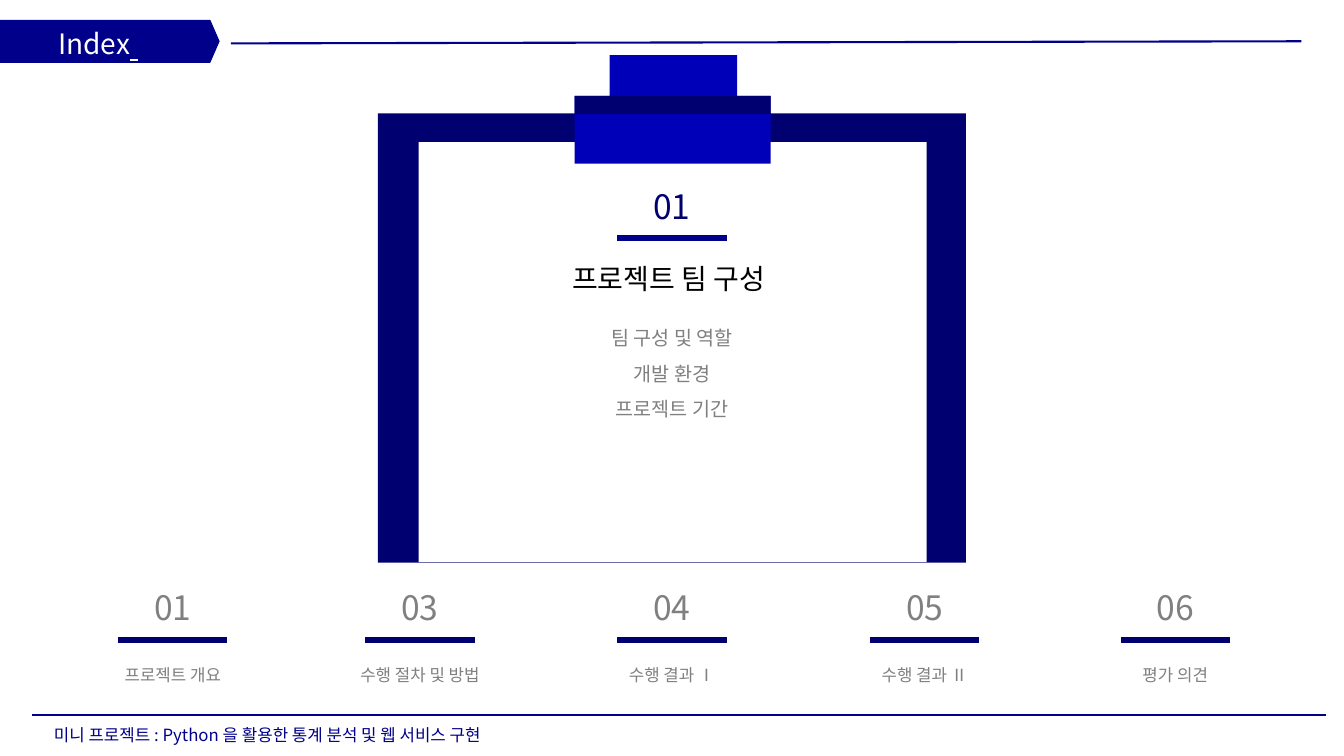
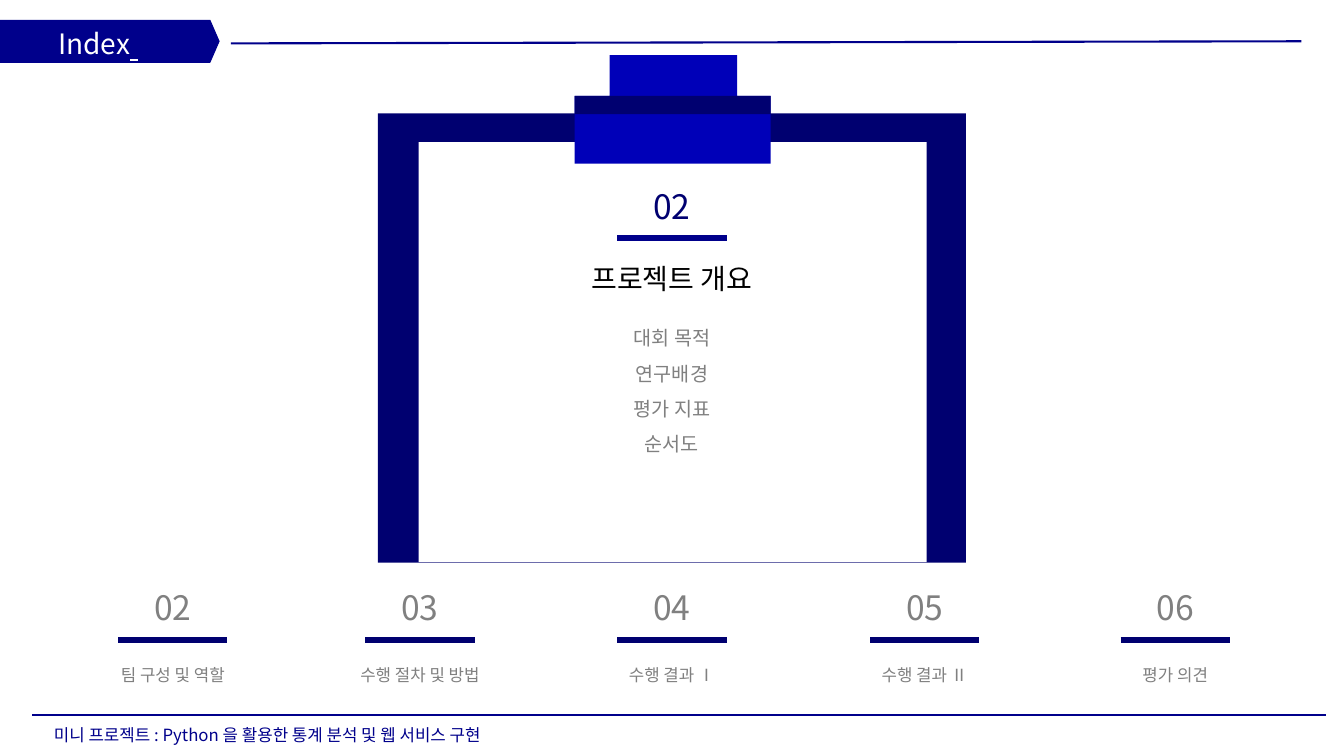
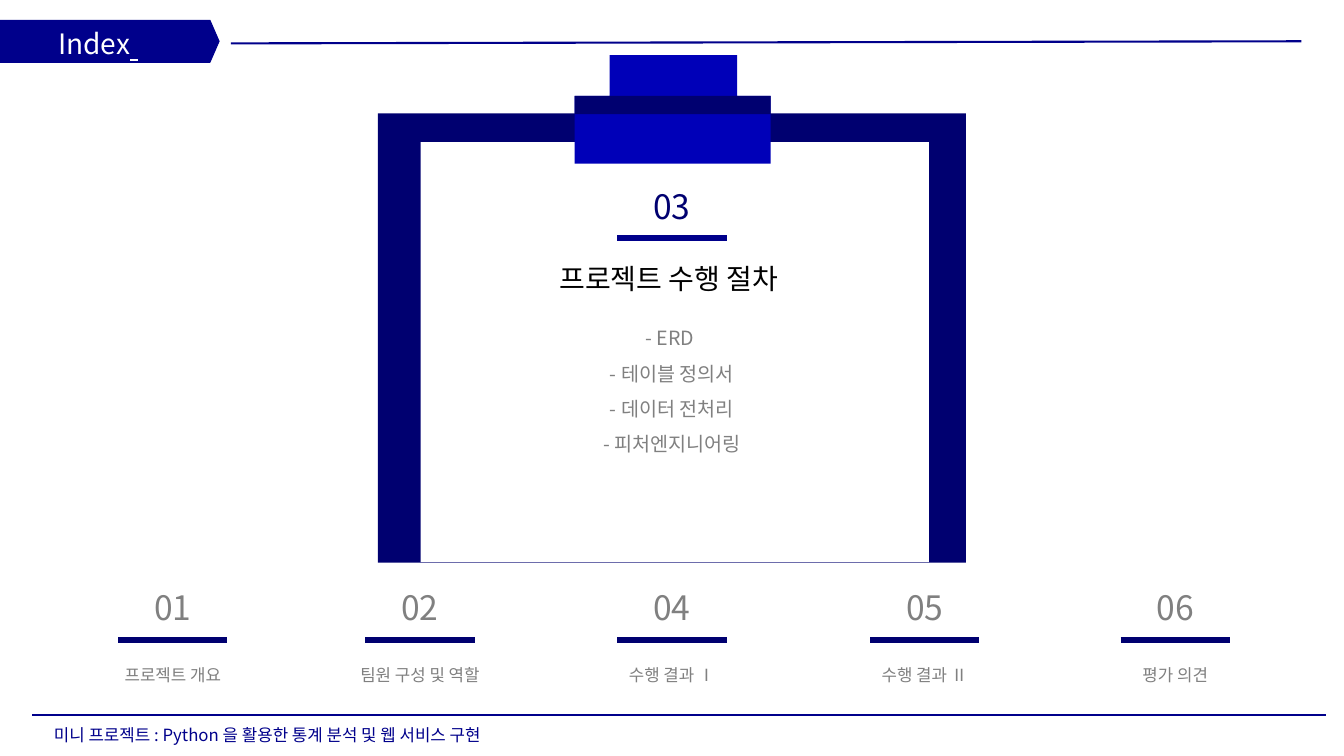
"""Build three index slides, each with a clipboard for its section and a row of the others."""
import dataclasses

import lxml.etree
import pptx
import pptx.dml.color
import pptx.enum.shapes
import pptx.enum.text
import pptx.oxml.ns
import pptx.util


@dataclasses.dataclass(frozen=True)
class Theme:
    """Hold the colours, type sizes and line widths that the slides share."""
    font: str = "Noto Sans CJK KR"
    blue: str = "00008B"
    navy: str = "000070"
    bright: str = "0000B8"
    grey: str = "808080"
    black: str = "000000"
    white: str = "FFFFFF"
    number: int = 24
    heading: int = 20
    body: int = 14
    small: int = 12
    bar: float = 4.5
    hairline: float = 1.5


THEME = Theme()
CENTER = 480
BAR_WIDTH = 78
SLOT_CENTERS = (123.5, 300, 480, 660.5, 839.5)
FOOTER = "미니 프로젝트 : Python 을 활용한 통계 분석 및 웹 서비스 구현"
OVERVIEW = ("01", "프로젝트 개요")
PROCEDURE = ("03", "수행 절차 및 방법")
LATER = [("04", "수행 결과 Ⅰ"), ("05", "수행 결과 Ⅱ"), ("06", "평가 의견")]
SLIDES = [
    dict(number="01", heading="프로젝트 팀 구성 ", paper_left=299,
         topics=["팀 구성 및 역할", "개발 환경", "프로젝트 기간"],
         others=[OVERVIEW, PROCEDURE, *LATER]),
    dict(number="02", heading="프로젝트 개요", paper_left=299,
         topics=["대회 목적", "연구배경", "평가 지표", "순서도"],
         others=[("02", "팀 구성 및 역할"), PROCEDURE, *LATER]),
    dict(number="03", heading="프로젝트 수행 절차 ", paper_left=300.5,
         topics=["- ERD ", "- 테이블 정의서", "- 데이터 전처리", "- 피처엔지니어링"],
         others=[OVERVIEW, ("02", "팀원 구성 및 역할"), *LATER]),
]


def rgb(color):
    """Turn a hex string into a colour."""
    return pptx.dml.color.RGBColor.from_string(color)


def place(sp, left, top, width, height):
    """Set the position and size of a shape in points."""
    sp.left, sp.top, sp.width, sp.height = map(pptx.util.Pt, (left, top, width, height))


def text_width(text, size):
    """Estimate the width of a box that holds one line of text."""
    ems = sum(0.25 if c == " " else 0.58 if c.isascii() else 1 for c in text)
    return round(ems * size + 14.4, 1)


def add_run(p, text, size, color, underline=None):
    """Add a formatted run to a paragraph."""
    r = p.add_run()
    r.text = text
    r.font.size = pptx.util.Pt(size)
    r.font.color.rgb = rgb(color)
    r.font.name = THEME.font
    r.font.underline = underline
    ea = lxml.etree.SubElement(r.font._element, pptx.oxml.ns.qn("a:ea"))
    ea.set("typeface", THEME.font)


def write(sp, *lines, size=THEME.small, color=THEME.grey, spacing=1.0, wrap=False):
    """Fill a shape with centred paragraphs, one for each line."""
    tf = sp.text_frame
    tf.word_wrap = wrap
    tf.auto_size = pptx.enum.text.MSO_AUTO_SIZE.SHAPE_TO_FIT_TEXT
    tf.vertical_anchor = pptx.enum.text.MSO_ANCHOR.TOP
    for i, line in enumerate(lines):
        p = tf.add_paragraph() if i else tf.paragraphs[0]
        p.alignment = pptx.enum.text.PP_ALIGN.CENTER
        p.line_spacing = spacing
        p.space_before = pptx.util.Pt(0)
        add_run(p, line, size, color)


def add_label(slide, text, center, top, size, color=THEME.grey):
    """Add one line of text centred on a point."""
    width = text_width(text, size)
    sp = slide.shapes.add_textbox(0, 0, 0, 0)
    place(sp, center - width / 2, top, width, size * 1.2 + 7.2)
    write(sp, text, size=size, color=color)


def add_line(slide, x1, y1, x2, y2, color=THEME.blue, width=THEME.hairline):
    """Add a straight line without a shadow."""
    line = slide.shapes.add_connector(pptx.enum.shapes.MSO_CONNECTOR.STRAIGHT,
                                      *map(pptx.util.Pt, (x1, y1, x2, y2)))
    line.line.color.rgb = rgb(color)
    line.line.width = pptx.util.Pt(width)
    lxml.etree.SubElement(line.element.spPr, pptx.oxml.ns.qn("a:effectLst"))


def add_bar(slide, center, y, color):
    """Add the thick rule under a number."""
    add_line(slide, center - BAR_WIDTH / 2, y, center + BAR_WIDTH / 2, y, color, THEME.bar)


def paint(sp, color):
    """Give a shape a flat fill with no line or shadow."""
    sp.shadow.inherit = False
    sp.fill.solid()
    sp.fill.fore_color.rgb = rgb(color)
    sp.line.fill.background()
    return sp


def add_rect(slide, left, top, width, height, color):
    """Add a flat rectangle."""
    sp = slide.shapes.add_shape(pptx.enum.shapes.MSO_SHAPE.RECTANGLE, 0, 0, 0, 0)
    place(sp, left, top, width, height)
    paint(sp, color)


def add_outline(slide, points, color):
    """Add a flat closed polygon."""
    start, *rest = [tuple(map(pptx.util.Pt, point)) for point in points]
    builder = slide.shapes.build_freeform(*start)
    builder.add_line_segments(rest, close=True)
    return paint(builder.convert_to_shape(), color)


def bring_to_front(sp):
    """Move a placeholder above the shapes drawn so far."""
    sp.element.getparent().append(sp.element)


def add_header(slide):
    """Add the banner with the slide title and the rule beside it."""
    banner = add_outline(slide, [(-6, 14.5), (-23, 44.5), (150, 44.5), (156.5, 29.5), (150, 14.5)],
                         THEME.blue)
    banner.line.color.rgb = rgb(THEME.blue)
    banner.line.width = pptx.util.Pt(0.75)
    title = slide.shapes.title
    place(title, 4.5, 11.5, 131, 36)
    write(title, "Index", size=THEME.heading, color=THEME.white, wrap=True)
    add_run(title.text_frame.paragraphs[0], " ", THEME.number, THEME.white, underline=True)
    bring_to_front(title)
    add_line(slide, 165, 31, 929.5, 29.5)


def add_footer(slide):
    """Add the footer rule and the project name."""
    add_line(slide, 23, 510.5, 947, 510.5)
    sp = slide.shapes.add_textbox(0, 0, 0, 0)
    place(sp, 18.5, 514, 345, 21.5)
    write(sp, FOOTER, color=THEME.blue, wrap=True)


def add_clipboard(slide, paper_left):
    """Draw the board, its paper and the clip."""
    add_rect(slide, 270, 81, 420, 321, THEME.navy)
    add_rect(slide, paper_left, 101.5, 363, 300, THEME.white)
    add_outline(slide, [(435.5, 39.5), (435.5, 68.5), (410.5, 68.5), (410.5, 117),
                        (550.5, 117), (550.5, 68.5), (526.5, 68.5), (526.5, 39.5)], THEME.bright)
    add_rect(slide, 410.5, 68.5, 140, 13, THEME.navy)


def add_topics(slide, topics):
    """Put the topics of the section in the body placeholder."""
    body = slide.placeholders[1]
    width = max(text_width(topic, THEME.body) for topic in topics)
    place(body, CENTER - width / 2, 221, width, 7.2 + 25 * len(topics))
    write(body, *topics, size=THEME.body, spacing=1.5)
    for p in body.text_frame.paragraphs:
        ppr = p._p.get_or_add_pPr()
        ppr.set("marL", "0")
        ppr.set("indent", "0")
        lxml.etree.SubElement(ppr, pptx.oxml.ns.qn("a:buNone"))
    bring_to_front(body)


def add_slide(prs, number, heading, paper_left, topics, others):
    """Add one index slide."""
    slide = prs.slides.add_slide(prs.slide_layouts[1])
    add_header(slide)
    for center, (other, name) in zip(SLOT_CENTERS, others):
        add_bar(slide, center, 457, THEME.navy)
        add_label(slide, other, center, 415.5, THEME.number)
        add_label(slide, name, center, 471, THEME.small)
    add_clipboard(slide, paper_left)
    add_bar(slide, CENTER, 170, THEME.blue)
    add_label(slide, number, CENTER, 129, THEME.number, THEME.navy)
    add_label(slide, heading, CENTER, 183.5, THEME.heading, THEME.black)
    add_topics(slide, topics)
    add_footer(slide)


def main():
    """Build and save the presentation."""
    prs = pptx.Presentation()
    prs.slide_width, prs.slide_height = pptx.util.Pt(960), pptx.util.Pt(540)
    for content in SLIDES:
        add_slide(prs, **content)
    prs.save("out.pptx")


if __name__ == "__main__":
    main()
